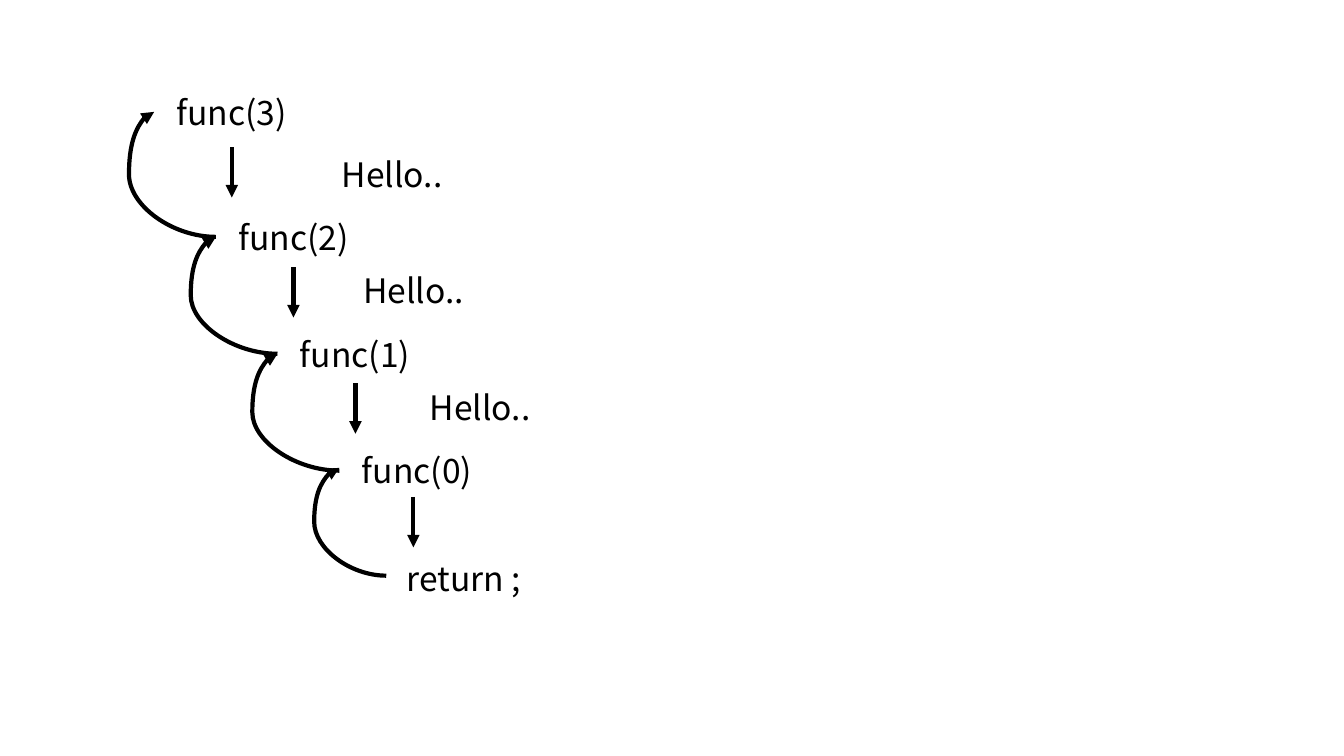
import itertools
from dataclasses import dataclass

import pptx
import pptx.dml.color
import pptx.enum.shapes
import pptx.enum.text
import pptx.oxml
import pptx.oxml.ns
import pptx.util
from pptx.util import Pt

FONT = "Noto Sans CJK KR"
BLACK = "000000"
CALL_WIDTH, HELLO_WIDTH, TEXT_HEIGHT = 110.9, 89.3, 36
ARROW_LENGTH = 36
CURVE_BULGE = 18  # how far a return curve swings left of its end


@dataclass(frozen=True)
class Call:
    text: str
    left: float
    top: float


@dataclass(frozen=True)
class Step:
    """What lies between one call and the next one down."""
    arrow_x: float
    arrow_top: float
    curve_drop: float  # curve ends this far below the tops of the two calls


CALLS = [
    Call("func(3)", 110.1, 61.9),
    Call("func(2)", 154.2, 151.2),
    Call("func(1)", 198.2, 234.7),
    Call("func(0)", 242.4, 318.2),
    Call("return ;", 275.9, 395.2),
]
STEPS = [
    Step(165.6, 105.1, 18),
    Step(209.6, 190.8, 18),
    Step(253.9, 273.8, 18),
    Step(295.3, 355, 16),
]
HELLO_SPOTS = [(235.4, 106.6), (250.7, 189.4), (298.2, 272.8)]


def color(hex_code: str) -> pptx.dml.color.RGBColor:
    return pptx.dml.color.RGBColor.from_string(hex_code)


def add_label(page, text: str, left: float, top: float, width: float) -> None:
    box = page.shapes.add_textbox(Pt(left), Pt(top), Pt(width), Pt(TEXT_HEIGHT))
    frame = box.text_frame
    frame.word_wrap = True
    frame.auto_size = pptx.enum.text.MSO_AUTO_SIZE.SHAPE_TO_FIT_TEXT
    para = frame.paragraphs[0]
    para.text = text
    para.alignment = pptx.enum.text.PP_ALIGN.CENTER
    para.font.name = FONT
    para.font.size = Pt(24)
    para.font.color.rgb = color(BLACK)


def add_arrow(page, kind, left: float, top: float, right: float, bottom: float):
    arrow = page.shapes.add_connector(kind, Pt(left), Pt(top), Pt(right), Pt(bottom))
    arrow.line.width = Pt(3)
    arrow.line.color.rgb = color(BLACK)
    properties = arrow._element.spPr
    for parent, tag in ((arrow.line._get_or_add_ln(), "a:tailEnd"),
                        (properties, "a:effectLst")):
        parent.append(pptx.oxml.parse_xml(f"<{tag} {pptx.oxml.ns.nsdecls('a')}/>"))
    arrow.line._get_or_add_ln()[-1].set("type", "triangle")
    return arrow


def add_return_curve(page, upper: Call, lower: Call, drop: float) -> None:
    """Curve from the lower call back up to the upper one."""
    arrow = add_arrow(page, pptx.enum.shapes.MSO_CONNECTOR.CURVE,
                      upper.left, upper.top + drop, lower.left, lower.top + drop)
    properties = arrow._element.spPr
    properties.find(pptx.oxml.ns.qn("a:xfrm")).set("rot", str(180 * 60000))
    bend = round(100000 * (1 + CURVE_BULGE / (lower.left - upper.left)))
    guides = properties.find(".//" + pptx.oxml.ns.qn("a:avLst"))
    guides.append(pptx.oxml.parse_xml(
        f'<a:gd {pptx.oxml.ns.nsdecls("a")} name="adj1" fmla="val {bend}"/>'))


deck = pptx.Presentation()
deck.slide_width, deck.slide_height = Pt(960), Pt(540)
page = deck.slides.add_slide(deck.slide_layouts[6])

# Calls and what each one prints
for call in CALLS:
    add_label(page, call.text, call.left, call.top, CALL_WIDTH)
for left, top in HELLO_SPOTS:
    add_label(page, "Hello..", left, top, HELLO_WIDTH)

# Arrows down into the next call, curves back to the caller
for step, (upper, lower) in zip(STEPS, itertools.pairwise(CALLS)):
    add_arrow(page, pptx.enum.shapes.MSO_CONNECTOR.STRAIGHT, step.arrow_x,
              step.arrow_top, step.arrow_x, step.arrow_top + ARROW_LENGTH)
    add_return_curve(page, upper, lower, step.curve_drop)

deck.save("out.pptx")
